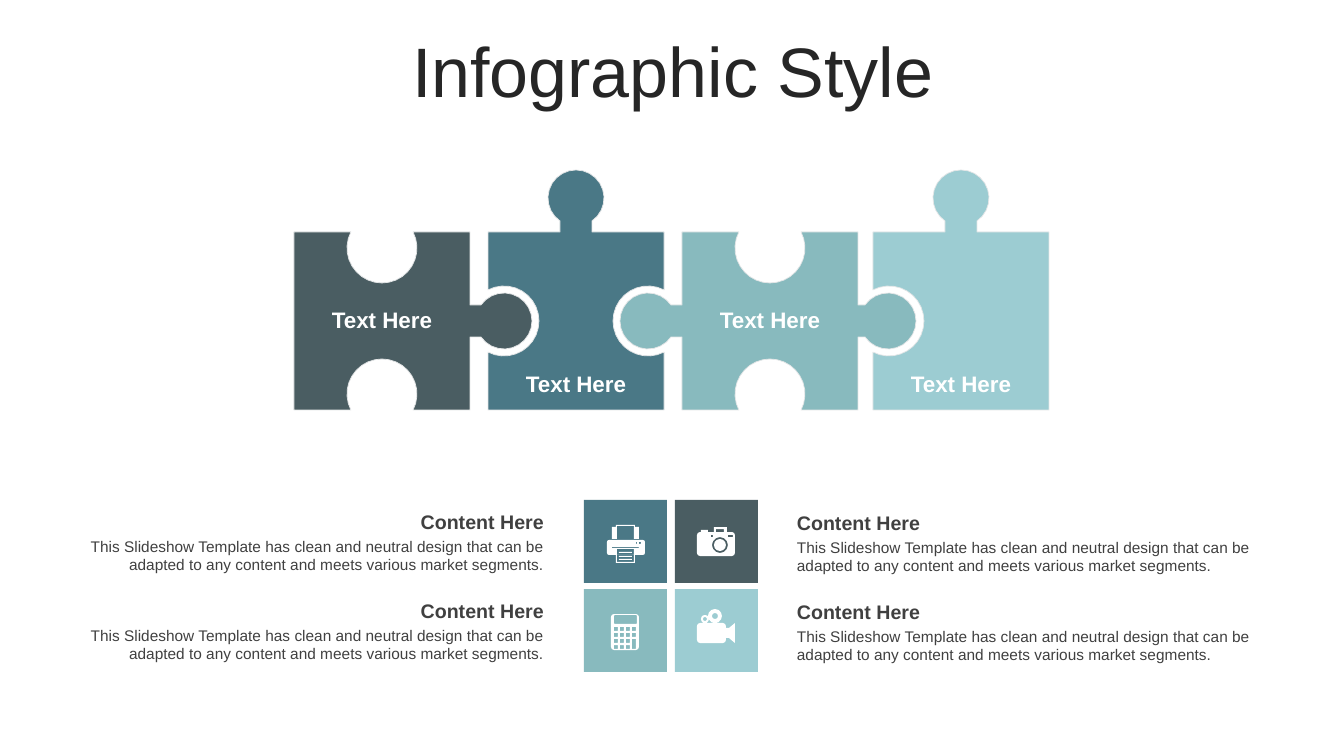
from math import acos, asin, cos, pi, sin

from pptx import Presentation
from pptx.dml.color import RGBColor
from pptx.enum.shapes import MSO_SHAPE
from pptx.enum.text import MSO_ANCHOR, MSO_AUTO_SIZE, PP_ALIGN
from pptx.util import Emu, Pt

EMU_PER_PX = 914400 / 100.8
SLATE = RGBColor(0x4A, 0x5D, 0x62)
BLUE = RGBColor(0x4A, 0x78, 0x86)
TEAL = RGBColor(0x88, 0xBA, 0xBE)
AQUA = RGBColor(0x9C, 0xCC, 0xD2)
OUTLINE = RGBColor(0xE4, 0xE6, 0xE7)
WHITE = RGBColor(0xFF, 0xFF, 0xFF)
TITLE_GREY = RGBColor(0x26, 0x26, 0x26)
TEXT_GREY = RGBColor(0x40, 0x40, 0x40)

PIECE_TOP, PIECE_WIDTH, PIECE_HEIGHT = 232, 176, 178
TAB_RADIUS, NECK_HALF, NOTCH_RADIUS = 28, 16, 35
CURVE_STEPS = 20
ROW_STEP = 89


def px(value):
    return Emu(round(value * EMU_PER_PX))


def arc(center_x, center_y, radius, start, end, steps):
    angles = [start + (end - start) * i / steps for i in range(steps + 1)]
    return [(center_x + radius * cos(a), center_y + radius * sin(a)) for a in angles]


def circle(center_x, center_y, radius):
    return arc(center_x, center_y, radius, 0, 2 * pi, 12)[:-1]


def box(left, top, width, height, radius=0):
    right, bottom = left + width, top + height
    if not radius:
        return [(left, top), (right, top), (right, bottom), (left, bottom)]
    centers = [(right - radius, bottom - radius), (left + radius, bottom - radius),
               (left + radius, top + radius), (right - radius, top + radius)]
    return [point for i, (x, y) in enumerate(centers)
            for point in arc(x, y, radius, i * pi / 2, (i + 1) * pi / 2, 2)]


def side_points(offset):
    """Points (along, outward) from the middle of a side; offset is the circle's
    distance from the side: positive for a tab, negative for a notch, 0 for flat."""
    if not offset:
        return []
    if offset > 0:
        radius, direction, start = TAB_RADIUS, -1, asin(NECK_HALF / TAB_RADIUS)
    else:
        radius, direction, start = NOTCH_RADIUS, 1, acos(-offset / NOTCH_RADIUS)
    step = (2 * pi - 2 * start) / CURVE_STEPS
    angles = [start + step * i for i in range(CURVE_STEPS + 1)]
    curve = [(-radius * sin(a), offset + direction * radius * cos(a)) for a in angles]
    return [(-NECK_HALF, 0), *curve, (NECK_HALF, 0)] if offset > 0 else curve


def puzzle_outline(left, offsets):
    """Clockwise outline; offsets are for the top, right, bottom and left side."""
    corners = box(left, PIECE_TOP, PIECE_WIDTH, PIECE_HEIGHT)
    normals = [(0, -1), (1, 0), (0, 1), (-1, 0)]
    points = []
    for i, (normal_x, normal_y) in enumerate(normals):
        (x1, y1), (x2, y2) = corners[i], corners[(i + 1) % 4]
        points.append((x1, y1))
        for along, outward in side_points(offsets[i]):
            points.append(((x1 + x2) / 2 - normal_y * along + normal_x * outward,
                           (y1 + y2) / 2 + normal_x * along + normal_y * outward))
    return points


def printer():
    tray = [(616, 525), (635, 525), (635, 527), (639, 527), (639, 539), (634, 539),
            (634, 526), (617, 526), (617, 539), (612, 539), (612, 527), (616, 527)]
    paper_lines = [box(619, y, 13, 1) for y in (552, 556, 559)]
    return [tray, box(607, 540, 38, 15, 2), box(616, 555, 19, 8), box(612, 547, 27, 1),
            box(617, 549, 17, 13), box(636, 542, 1, 2), box(639, 542, 2, 2), *paper_lines]


def camera():
    return [box(697, 532, 38, 24, 3), box(714, 527, 13, 5), box(716, 529, 8, 3),
            box(701, 530, 7, 2), circle(720, 545, 8), circle(720, 545, 6),
            box(711, 535, 2, 2), box(728, 535, 5, 2)]


def calculator():
    keys = [box(614 + 6 * column, 627 + 6 * row, 4, 4)
            for row in range(4) for column in range(4) if column < 3 or row < 2]
    return [box(611, 614, 28, 36, 3), box(614, 615, 23, 9, 1), *keys,
            box(632, 639, 4, 10)]


def video_camera():
    lens = [(726, 628), (729, 628), (735, 623), (735, 643), (729, 638), (726, 638)]
    return [box(697, 623, 29, 20, 3), lens, circle(715, 616, 7), circle(715, 616, 3),
            circle(705, 619, 4), circle(705, 619, 2)]


def write_text(shape, text, size, color, bold=False, align=PP_ALIGN.LEFT,
               anchor=MSO_ANCHOR.TOP, line_spacing=None):
    frame = shape.text_frame
    frame.word_wrap = True
    frame.auto_size = MSO_AUTO_SIZE.NONE
    frame.vertical_anchor = anchor
    paragraph = frame.paragraphs[0]
    paragraph.text = text
    paragraph.alignment = align
    paragraph.line_spacing = line_spacing
    font = paragraph.font
    font.name, font.size, font.bold = "Arial", Pt(size), bold
    font.color.rgb = color


class SlideBuilder:
    """Puts styled elements on one slide, with lengths in px."""

    def __init__(self, presentation):
        self.slide = presentation.slides.add_slide(presentation.slide_layouts[5])

    def title(self, text, left, top, width, height):
        shape = self.slide.shapes.title
        shape.left, shape.top, shape.width, shape.height = map(px, (left, top, width, height))
        write_text(shape, text, 50, TITLE_GREY, align=PP_ALIGN.CENTER,
                   anchor=MSO_ANCHOR.MIDDLE, line_spacing=0.8)

    def text(self, text, left, top, width, height, **text_format):
        shape = self.slide.shapes.add_textbox(*map(px, (left, top, width, height)))
        write_text(shape, text, **text_format)

    def paint(self, shape, fill, line=None):
        shape.shadow.inherit = False
        shape.fill.solid()
        shape.fill.fore_color.rgb = fill
        if line is None:
            shape.line.fill.background()
        else:
            shape.line.color.rgb = line
            shape.line.width = Pt(0.5)

    def square(self, left, top, side, fill):
        shape = self.slide.shapes.add_shape(MSO_SHAPE.RECTANGLE,
                                            *map(px, (left, top, side, side)))
        self.paint(shape, fill)

    def freeform(self, contours, fill, line=None):
        """Inner contours cut holes in outer ones."""
        builder = None
        for contour in contours:
            points = [(px(x), px(y)) for x, y in contour]
            if builder is None:
                builder = self.slide.shapes.build_freeform(*points[0], scale=1.0)
            else:
                builder.move_to(*points[0])
            builder.add_line_segments(points[1:], close=True)
        self.paint(builder.convert_to_shape(), fill, line)


def main():
    presentation = Presentation()
    presentation.slide_width, presentation.slide_height = px(1344), px(756)
    builder = SlideBuilder(presentation)
    builder.title("Infographic Style", 35, 37, 1276, 80)

    pieces = [(294, SLATE, (-16, 34, -16, 0), 301),
              (488, BLUE, (34, -16, 0, -16), 365),
              (682, TEAL, (-16, 30, -16, 34), 301),
              (873, AQUA, (34, 0, 0, -16), 365)]
    for left, color, offsets, label_top in pieces:
        builder.freeform([puzzle_outline(left, offsets)], color, OUTLINE)
        builder.text("Text Here", left + 5, label_top, 166, 37, size=16, color=WHITE,
                     bold=True, align=PP_ALIGN.CENTER)

    tiles = [(0, 0, BLUE, printer), (0, 1, SLATE, camera),
             (1, 0, TEAL, calculator), (1, 1, AQUA, video_camera)]
    for row, column, color, icon in tiles:
        builder.square(584 + 91 * column, 500 + ROW_STEP * row, 83, color)
        builder.freeform(icon(), WHITE)

    description = ("This Slideshow Template has clean and neutral design that can be "
                   "adapted to any content and meets various market segments.")
    for left, top, align in ((70, 505, PP_ALIGN.RIGHT), (787, 506, PP_ALIGN.LEFT)):
        for row in range(2):
            row_top = top + ROW_STEP * row
            builder.text("Content Here", left, row_top, 484, 34, size=14, color=TEXT_GREY,
                         bold=True, align=align, anchor=MSO_ANCHOR.MIDDLE)
            builder.text(description, left, row_top + 27, 484, 47, size=11,
                         color=TEXT_GREY, align=align)

    presentation.save("out.pptx")


if __name__ == "__main__":
    main()
